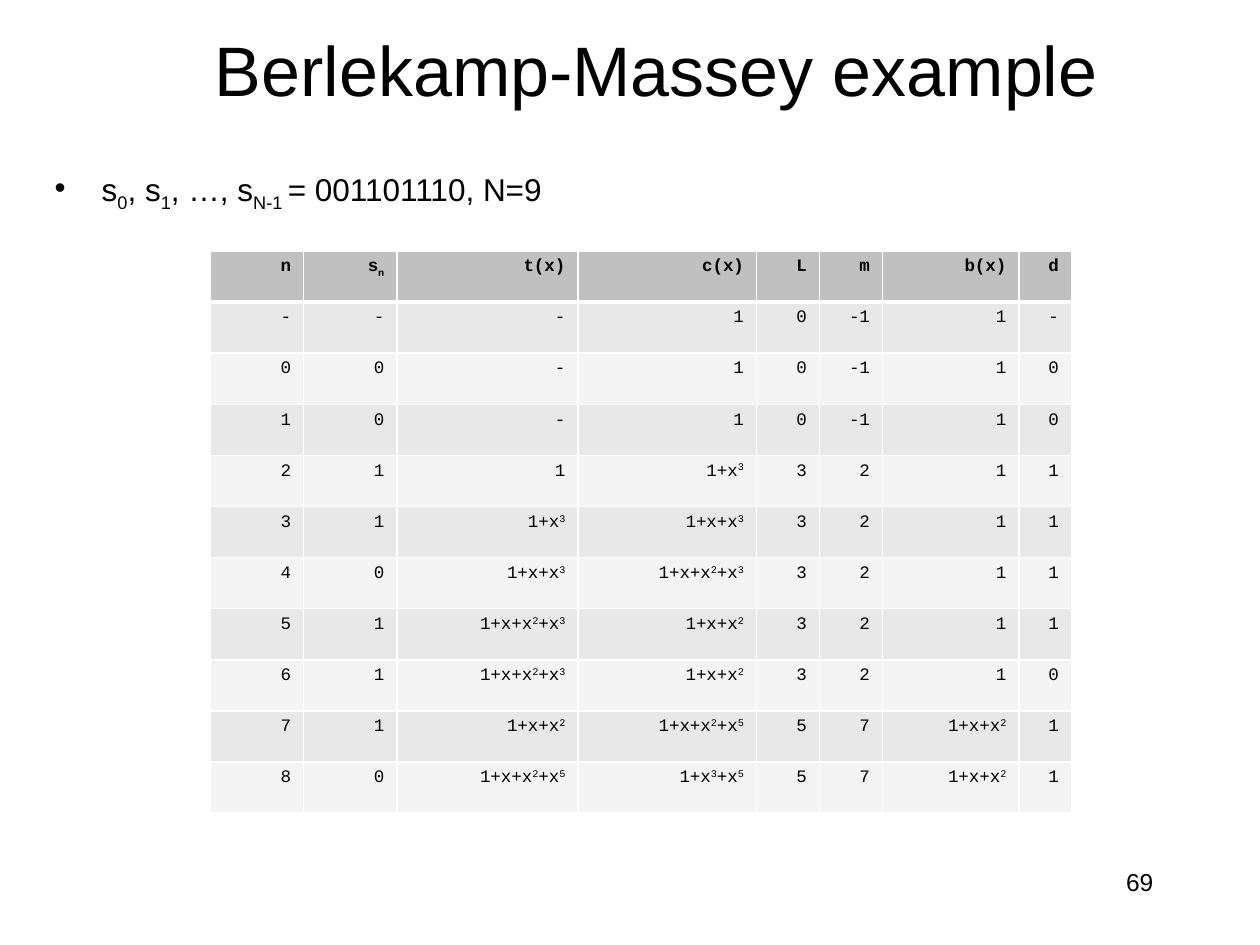
from lxml.etree import SubElement as Sub
from pptx import Presentation
from pptx.dml.color import RGBColor
from pptx.enum.text import MSO_ANCHOR, MSO_AUTO_SIZE, PP_ALIGN
from pptx.oxml.ns import qn
from pptx.util import Cm, Pt

SHIFT = {"^": "30000", "_": "-25000"}


def write(par, text, size, face="Arial", bold=False):
    """Add runs split at "|"; a part led by ^ is raised, one led by _ is lowered."""
    for part in text.split("|"):
        if not part:
            continue
        run = par.add_run()
        run.text = part.lstrip("^_")
        font = run.font
        font.size, font.name, font.bold = Pt(size), face, bold
        font.color.rgb = RGBColor.from_string("000000")
        if part[0] in SHIFT:
            run._r.get_or_add_rPr().set("baseline", SHIFT[part[0]])


def edge(cell, side, width):
    line = Sub(cell._tc.get_or_add_tcPr(), qn(f"a:{side}"), w=str(Pt(width)))
    Sub(Sub(line, qn("a:solidFill")), qn("a:srgbClr"), val="FFFFFF")


prs = Presentation()
prs.slide_width, prs.slide_height = Cm(25.4), Cm(19.05)
slide = prs.slides.add_slide(prs.slide_layouts[5])
shapes = slide.shapes

# Title
title = shapes.title
title.left, title.top, title.width, title.height = Cm(1.9), Cm(0), Cm(22.65), Cm(2.75)
frame = title.text_frame
frame.auto_size = MSO_AUTO_SIZE.NONE
frame.vertical_anchor = MSO_ANCHOR.MIDDLE
par = frame.paragraphs[0]
par.alignment = PP_ALIGN.CENTER
write(par, "Berlekamp-Massey example", 40)

# Input sequence
frame = shapes.add_textbox(Cm(0.85), Cm(3.39), Cm(23.92), Cm(1.27)).text_frame
frame.word_wrap = True
par = frame.paragraphs[0]
props = par._p.get_or_add_pPr()
props.set("marL", str(Cm(0.95)))
props.set("indent", str(Cm(-0.95)))
Sub(props, qn("a:buFont"), typeface="Arial")
Sub(props, qn("a:buChar"), char="•")
par.line_spacing = 0.8
write(par, "s|_0|, s|_1|, …, s|_N-1 |= 001101110, N=9", 18)

# Steps of the algorithm
rows = [
    ["n", "s|_n", "t(x)", "c(x)", "L", "m", "b(x)", "d"],
    ["-", "-", "-", "1", "0", "-1", "1", "-"],
    ["0", "0", "-", "1", "0", "-1", "1", "0"],
    ["1", "0", "-", "1", "0", "-1", "1", "0"],
    ["2", "1", "1", "1+x|^3", "3", "2", "1", "1"],
    ["3", "1", "1+x|^3", "1+x+x|^3", "3", "2", "1", "1"],
    ["4", "0", "1+x+x|^3", "1+x+x|^2|+x|^3", "3", "2", "1", "1"],
    ["5", "1", "1+x+x|^2|+x|^3", "1+x+x|^2", "3", "2", "1", "1"],
    ["6", "1", "1+x+x|^2|+x|^3", "1+x+x|^2", "3", "2", "1", "0"],
    ["7", "1", "1+x+x|^2", "1+x+x|^2|+x|^5", "5", "7", "1+x+x|^2", "1"],
    ["8", "0", "1+x+x|^2|+x|^5", "1+x|^3|+x|^5", "5", "7", "1+x+x|^2", "1"],
]
widths = [1.88, 1.88, 3.65, 3.6, 1.27, 1.27, 2.75, 1.06]
high = 1.03
table = shapes.add_table(len(rows), len(widths), Cm(4.24), Cm(5.06),
                         Cm(sum(widths)), Cm(high * len(rows))).table
for col, width in zip(table.columns, widths):
    col.width = Cm(width)
for r, row in enumerate(rows):
    table.rows[r].height = Cm(high)
    shade = "C0C0C0" if r == 0 else "E8E8E8" if r % 2 else "F4F4F4"
    for c, text in enumerate(row):
        cell = table.cell(r, c)
        edge(cell, "lnL", 1)
        edge(cell, "lnR", 1)
        edge(cell, "lnT", 3 if r == 1 else 1)
        edge(cell, "lnB", 3 if r == 0 else 1)
        cell.fill.solid()
        cell.fill.fore_color.rgb = RGBColor.from_string(shade)
        par = cell.text_frame.paragraphs[0]
        par.alignment = PP_ALIGN.RIGHT
        write(par, text, 10, "Courier New", r == 0)

# Page number
frame = shapes.add_textbox(Cm(18.2), Cm(17.35), Cm(5.3), Cm(1.27)).text_frame
frame.word_wrap = True
par = frame.paragraphs[0]
par.alignment = PP_ALIGN.RIGHT
write(par, "69", 14)

prs.save("out.pptx")
